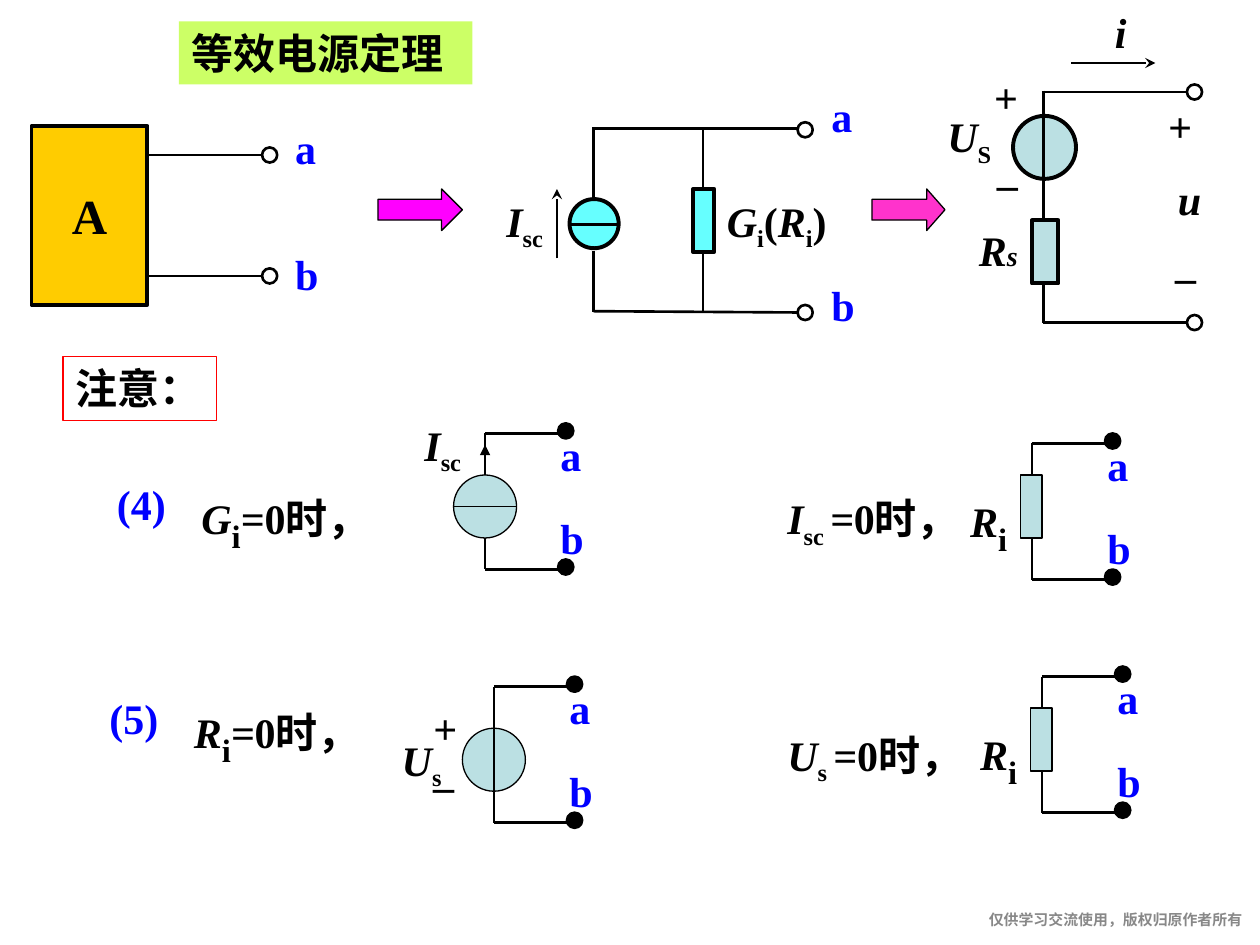
from lxml import etree
from pptx import Presentation
from pptx.dml.color import RGBColor
from pptx.enum.shapes import MSO_CONNECTOR, MSO_SHAPE
from pptx.enum.text import MSO_ANCHOR, MSO_AUTO_SIZE, PP_ALIGN
from pptx.oxml.ns import qn
from pptx.util import Inches, Pt

RECT, OVAL, ARROW = MSO_SHAPE.RECTANGLE, MSO_SHAPE.OVAL, MSO_SHAPE.RIGHT_ARROW
LEFT, CENTER, RIGHT = PP_ALIGN.LEFT, PP_ALIGN.CENTER, PP_ALIGN.RIGHT
TOP, MIDDLE = MSO_ANCHOR.TOP, MSO_ANCHOR.MIDDLE
STRAIGHT = MSO_CONNECTOR.STRAIGHT
FIT = MSO_AUTO_SIZE.SHAPE_TO_FIT_TEXT

BLACK, BLUE, PALE, CYAN = "000000", "0000FF", "BBE0E3", "66FFFF"
THIN, WIRE, THICK = 0.75, 1.5, 2.25
ROW = 0.5  # height of a one-line label
NODE = 0.12  # diameter of a terminal

# Run styles: italic, size (None keeps the label's size), subscript
PLAIN, ITALIC = (False, None, False), (True, None, False)
SUB, BIG_SUB, SMALL = (False, None, True), (False, 32, True), (True, 16, False)

I_SC = [("I", ITALIC), ("sc", SUB)]
U_S = [("U", ITALIC), ("s", SUB)]
R_I = [("R", ITALIC), ("i", BIG_SUB)]
IS_ZERO = [("=", ITALIC), ("0时，", PLAIN)]

# Wires: x1, y1, x2, y2
NETWORK_WIRES = [(1.17, 1.23, 2.08, 1.23), (1.17, 2.19, 2.08, 2.19)]
NORTON_WIRES = [
    (4.71, 2.47, 6.33, 2.48), (4.7, 1.02, 6.34, 1.02),
    (5.58, 1.02, 5.58, 1.5), (5.58, 2, 5.58, 2.47),
    (4.71, 1.02, 4.71, 1.59), (4.71, 1.99, 4.71, 2.48),
    (4.52, 1.78, 4.91, 1.78),
]
THEVENIN_WIRES = [(8.28, 0.72, 8.28, 2.56), (8.27, 0.73, 9.42, 0.73),
                  (8.28, 2.56, 9.42, 2.56)]
TERMINALS = [(2.08, 1.17), (2.08, 2.13), (6.33, 0.97), (6.33, 2.42),
             (9.42, 0.67), (9.42, 2.5)]

# Wrapped labels: runs, left, top, width, colour
CIRCUIT_LABELS = [
    ([("a", PLAIN)], 6.5, 0.67, 0.58, BLUE),
    ([("b", PLAIN)], 6.5, 2.17, 0.42, BLUE),
    ([("G", ITALIC), ("i", SUB), ("(", PLAIN), ("R", ITALIC), ("i", SUB),
      (")", PLAIN)], 5.67, 1.5, 1.25, BLACK),
    (I_SC, 3.92, 1.5, 0.75, BLACK),
    ([("i", ITALIC)], 8.75, 0, 0.42, BLACK),
    ([("U", ITALIC), ("S", SUB)], 7.42, 0.83, 0.58, BLACK),
    ([("R", ITALIC), ("s", SMALL)], 7.67, 1.73, 0.7, BLACK),
    ([("+", ITALIC)], 9.17, 0.75, 0.5, BLACK),
    ([("u", ITALIC)], 9.25, 1.33, 0.5, BLACK),
    ([("_", ITALIC)], 9.25, 1.83, 0.5, BLACK),
    ([("I", ITALIC), ("sc ", SUB)] + IS_ZERO, 6.15, 3.86, 1.89, BLACK),
    ([("U", ITALIC), ("s ", SUB)] + IS_ZERO, 6.15, 5.74, 1.64, BLACK),
]
# Centred labels: text, left, top, width, height, colour, size
CENTRED_LABELS = [
    ("A", 0.47, 1.42, 0.48, 0.57, BLACK, 28),
    ("a", 2.24, 0.92, 0.37, ROW, BLUE, 24),
    ("b", 2.24, 1.92, 0.39, ROW, BLUE, 24),
    ("+", 7.79, 0.52, 0.39, ROW, BLACK, 24),
    ("_", 7.81, 1.09, 0.37, ROW, BLACK, 24),
]
# Numbered cases: number, its left, condition, its left, width, top
CASES = [
    ("(4)", 0.83, [("G", ITALIC), ("i", BIG_SUB)] + IS_ZERO, 1.5, 1.55, 3.75),
    ("(5)", 0.77, R_I + IS_ZERO, 1.44, 1.53, 5.45),
]
# Upper left corner of each two-terminal loop
RESISTOR_LOOPS = [(8.19, 3.52), (8.27, 5.37)]
CURRENT_LOOP, VOLTAGE_LOOP = (3.85, 3.44), (3.92, 5.45)

prs = Presentation()
prs.slide_width, prs.slide_height = Inches(10), Inches(7.5)
shapes = prs.slides.add_slide(prs.slide_layouts[6]).shapes


def rgb(color):
    return RGBColor.from_string(color)


def write(holder, runs, color=BLACK, size=24, font="Times New Roman",
          align=LEFT, anchor=TOP, wrap=True):
    frame = holder.text_frame
    frame.word_wrap, frame.auto_size, frame.vertical_anchor = wrap, FIT, anchor
    paragraph = frame.paragraphs[0]
    paragraph.alignment = align
    for text, (italic, run_size, subscript) in runs:
        run = paragraph.add_run()
        run.text = text
        run.font.name, run.font.size = font, Pt(run_size or size)
        run.font.bold, run.font.italic = True, italic
        run.font.color.rgb = rgb(color)
        if subscript:
            run.font._element.set("baseline", "-25000")
    return frame


def label(runs, x, y, width, color=BLACK, height=ROW, **style):
    box = shapes.add_textbox(Inches(x), Inches(y), Inches(width), Inches(height))
    return write(box, runs, color, **style)


def block(kind, x, y, width, height, fill=None, line=BLACK, weight=THIN):
    shape = shapes.add_shape(kind, Inches(x), Inches(y), Inches(width), Inches(height))
    shape.shadow.inherit = False
    if fill:
        shape.fill.solid()
        shape.fill.fore_color.rgb = rgb(fill)
    else:
        shape.fill.background()
    if line:
        shape.line.color.rgb = rgb(line)
        shape.line.width = Pt(weight)
    else:
        shape.line.fill.background()
    return shape


def wire(x1, y1, x2, y2, weight=WIRE, head=None):
    line = shapes.add_connector(STRAIGHT, Inches(x1), Inches(y1), Inches(x2), Inches(y2))
    line.line.color.rgb = rgb(BLACK)
    line.line.width = Pt(weight)
    if head:
        etree.SubElement(line.line._get_or_add_ln(), qn("a:tailEnd"), type=head)
    etree.SubElement(line._element.spPr, qn("a:effectLst"))


def loop(x, y):
    """Draw the wires and the terminals a and b of a two-terminal loop."""
    bottom = y + 1.08
    label([("a", PLAIN)], x + 0.5, y - 0.08, 0.6, BLUE)
    label([("b", PLAIN)], x + 0.5, y + 0.58, 0.6, BLUE)
    wire(x, y, x, bottom)
    for level in (y, bottom):
        wire(x, level, x + 0.66, level)
        block(OVAL, x + 0.58, level - 0.08, NODE, NODE, BLACK, weight=WIRE)


# Equivalent circuits along the top
block(ARROW, 3, 1.5, 0.67, 0.33, "FF00FF")
block(ARROW, 6.92, 1.5, 0.58, 0.33, "FF33CC").adjustments[1] = 0.44
block(RECT, 0.25, 1, 0.92, 1.42, "FFCC00", weight=THICK)
block(RECT, 5.5, 1.5, 0.17, 0.5, CYAN, weight=THICK)
block(OVAL, 4.52, 1.58, 0.39, 0.39, CYAN, weight=THICK)
block(OVAL, 8.04, 0.92, 0.5, 0.5, PALE, weight=THICK)
for ends in NETWORK_WIRES + NORTON_WIRES + THEVENIN_WIRES:
    wire(*ends)
wire(4.42, 2.05, 4.42, 1.5, head="stealth")
wire(8.5, 0.5, 9.17, 0.5, head="stealth")
block(RECT, 8.19, 1.75, 0.21, 0.5, PALE, weight=THICK)
for x, y in TERMINALS:
    block(OVAL, x, y, NODE, NODE, weight=WIRE)
for runs, x, y, width, color in CIRCUIT_LABELS:
    label(runs, x, y, width, color)
for text, x, y, width, height, color, size in CENTRED_LABELS:
    label([(text, PLAIN)], x, y, width, color, height, size=size,
          align=CENTER, anchor=MIDDLE, wrap=False)

# Special cases
for number, number_x, condition, x, width, y in CASES:
    label([(number, PLAIN)], number_x, y, 0.59, BLUE, wrap=False)
    label(condition, x, y, width, wrap=False)

for x, y in RESISTOR_LOOPS:
    loop(x, y)
    block(RECT, x - 0.09, y + 0.25, 0.17, 0.5, PALE)
    label(R_I, x - 0.59, y + 0.25, 0.51, wrap=False)

for x, y in (CURRENT_LOOP, VOLTAGE_LOOP):
    loop(x, y)
    block(OVAL, x - 0.25, y + 0.33, 0.5, 0.5, PALE)

x, y = CURRENT_LOOP
wire(x - 0.25, y + 0.58, x + 0.25, y + 0.58, THIN)
wire(x, y + 0.33, x, y + 0.09, THIN, "triangle")
label(I_SC, x - 0.58, y - 0.16, 0.52, wrap=False)

x, y = VOLTAGE_LOOP
wire(x, y + 0.83, x, y + 0.33, THIN)
label(U_S, x - 0.83, y + 0.33, 0.53)
label([("+", PLAIN)], x - 0.58, y + 0.08, 0.39, wrap=False)
label([("_", PLAIN)], x - 0.58, y + 0.42, 0.37, wrap=False)

# Headings and footer
write(block(RECT, 1.42, 0.17, 2.33, 0.5, "CCFF66", None), [("等效电源定理", PLAIN)])
write(block(RECT, 0.5, 2.83, 1.22, 0.51, line="FF0000"), [("注意：", PLAIN)], wrap=False)
footer = label([("仅供学习交流使用，版权归原作者所有", PLAIN)], 6.06, 7.23, 3.8, "888888",
               0.22, size=8.5, font="Arial", align=RIGHT, wrap=False)
footer.margin_left = footer.margin_right = footer.margin_top = footer.margin_bottom = 0

prs.save("out.pptx")
